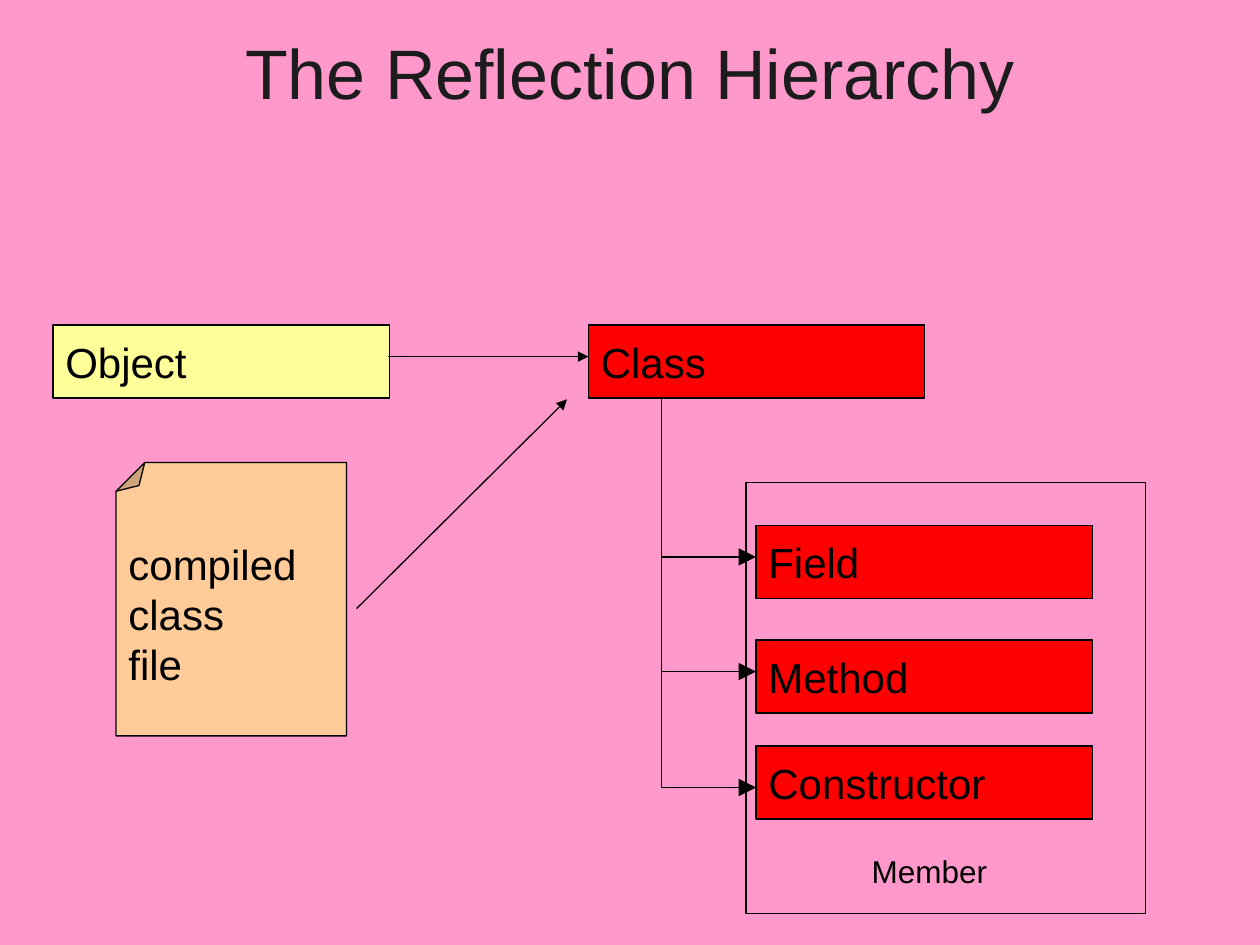
from dataclasses import dataclass

from lxml.etree import SubElement
from pptx import Presentation
from pptx.dml.color import RGBColor
from pptx.enum.shapes import MSO_CONNECTOR, MSO_SHAPE
from pptx.enum.text import MSO_ANCHOR, PP_ALIGN
from pptx.oxml.ns import qn
from pptx.util import Inches, Pt

PINK = RGBColor(0xFF, 0x99, 0xCC)
RED = RGBColor(0xFF, 0x00, 0x00)
YELLOW = RGBColor(0xFF, 0xFF, 0x99)
PEACH = RGBColor(0xFF, 0xCC, 0x99)
BLACK = RGBColor(0x00, 0x00, 0x00)
CHARCOAL = RGBColor(0x1C, 0x1C, 0x1C)
FONT = "Arial"
BOX_W, BOX_H = 2.67, 0.58
TRUNK_X, MEMBER_X = 5.25, 6


@dataclass
class Box:
    text: str
    x: float
    y: float
    fill: RGBColor = RED


@dataclass
class Line:
    start: tuple[float, float]
    end: tuple[float, float]
    width: float = 0.75
    head: str = "med"  # arrowhead size, empty for a plain line


BOXES = [
    Box("Object", 0.42, 2.58, YELLOW),
    Box("Class", 4.67, 2.58),
    Box("Field", MEMBER_X, 4.17),
    Box("Method", MEMBER_X, 5.08),
    Box("Constructor", MEMBER_X, 5.92),
]
LINES = [
    Line((3.08, 2.83), (4.67, 2.83)),
    Line((2.83, 4.83), (4.5, 3.17)),
    Line((TRUNK_X, 3.17), (TRUNK_X, 6.25), head=""),
] + [Line((TRUNK_X, y), (MEMBER_X, y), 1, "lg") for y in (4.42, 5.33, 6.25)]


def style_text(tf, size: float, color: RGBColor = BLACK, align=PP_ALIGN.LEFT) -> None:
    for p in tf.paragraphs:
        p.alignment = align
        p.font.name = FONT
        p.font.size = Pt(size)
        p.font.color.rgb = color


def add_outlined(s, kind, x: float, y: float, w: float, h: float, fill=None):
    sp = s.shapes.add_shape(kind, Inches(x), Inches(y), Inches(w), Inches(h))
    sp.shadow.inherit = False
    if fill is None:
        sp.fill.background()
    else:
        sp.fill.solid()
        sp.fill.fore_color.rgb = fill
    sp.line.color.rgb = BLACK
    sp.line.width = Pt(0.75)
    return sp


def add_box(s, box: Box) -> None:
    sp = add_outlined(s, MSO_SHAPE.RECTANGLE, box.x, box.y, BOX_W, BOX_H, box.fill)
    sp.text_frame.text = box.text
    style_text(sp.text_frame, 24)


def add_line(s, line: Line) -> None:
    ends = [Inches(v) for v in (*line.start, *line.end)]
    c = s.shapes.add_connector(MSO_CONNECTOR.STRAIGHT, *ends)
    c.line.color.rgb = BLACK
    c.line.width = Pt(line.width)
    if line.head:
        SubElement(c.line._get_or_add_ln(), qn("a:tailEnd"),
                   type="triangle", w=line.head, len=line.head)
    SubElement(c._element.spPr, qn("a:effectLst"))


def add_class_file(s) -> None:
    sp = add_outlined(s, MSO_SHAPE.FOLDED_CORNER, 0.92, 3.67, 1.83, 2.17, PEACH)
    # Size of the fold, in 1/100000 of the shorter side
    guides = sp._element.spPr.find(qn("a:prstGeom")).find(qn("a:avLst"))
    SubElement(guides, qn("a:gd"), name="adj", fmla="val 12500")
    sp.rotation = 180
    tf = sp.text_frame
    tf.text = "compiled\nclass\nfile"
    style_text(tf, 24)
    # Turn the text back upright inside the rotated page
    tf._txBody.bodyPr.set("rot", "10800000")


def main() -> None:
    prs = Presentation()
    prs.slide_width, prs.slide_height = Inches(10), Inches(7.5)
    s = prs.slides.add_slide(prs.slide_layouts[5])
    s.background.fill.solid()
    s.background.fill.fore_color.rgb = PINK

    # Title
    title = s.shapes.title
    title.left, title.top = Inches(0.5), Inches(0.3)
    title.width, title.height = Inches(9), Inches(0.53)
    title.text_frame.text = "The Reflection Hierarchy"
    title.text_frame.vertical_anchor = MSO_ANCHOR.MIDDLE
    style_text(title.text_frame, 40, CHARCOAL, PP_ALIGN.CENTER)

    # Member frame and its label
    add_outlined(s, MSO_SHAPE.RECTANGLE, 5.92, 3.83, 3.17, 3.42)
    label = s.shapes.add_textbox(Inches(6.82), Inches(6.71), Inches(1.12), Inches(0.4))
    label.text_frame.text = "Member"
    label.text_frame.word_wrap = False
    style_text(label.text_frame, 18)

    # Classes, source file and arrows
    for box in BOXES:
        add_box(s, box)
    add_class_file(s)
    for line in LINES:
        add_line(s, line)

    prs.save("out.pptx")


if __name__ == "__main__":
    main()
